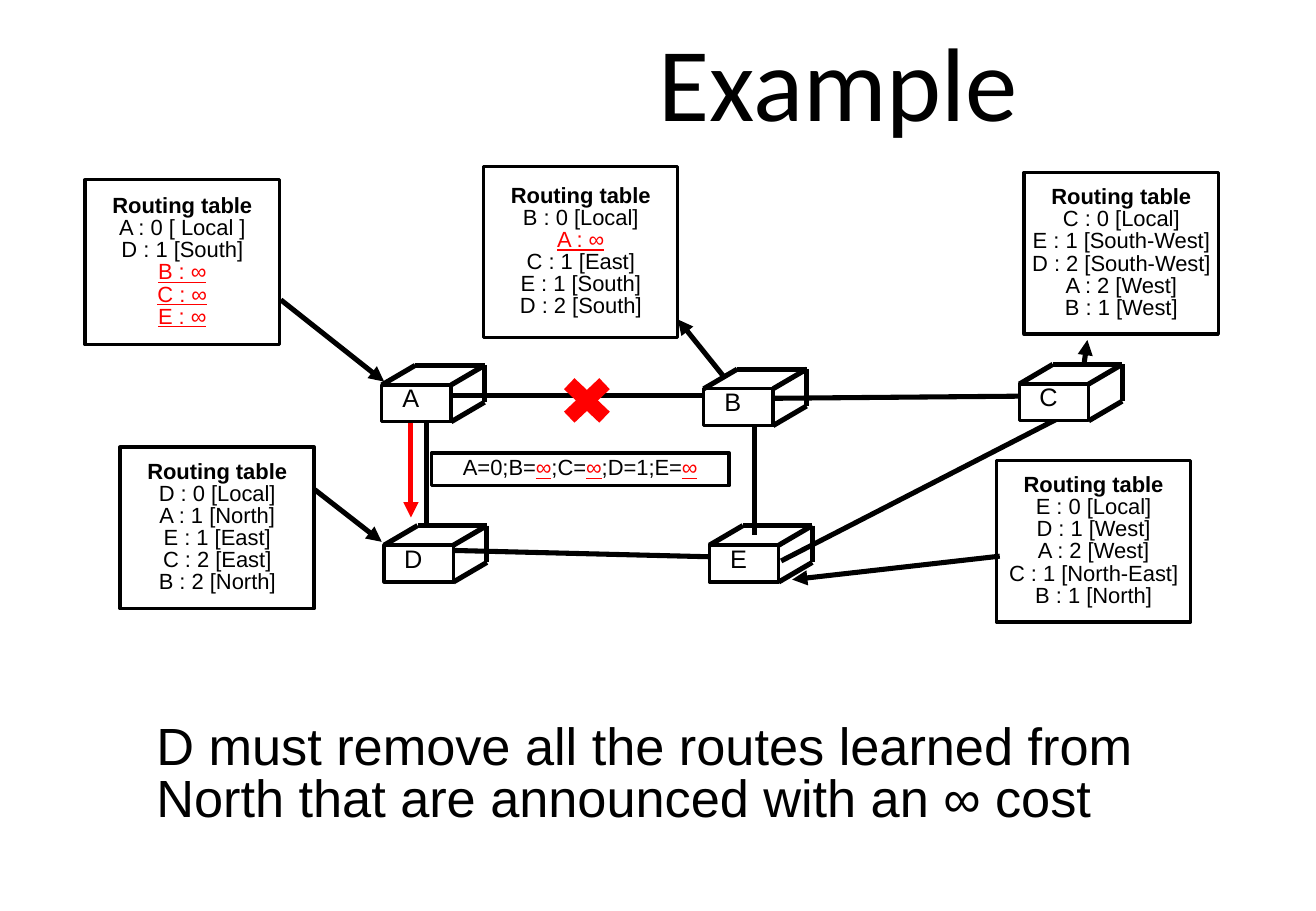
from lxml import etree
from pptx import Presentation
from pptx.dml.color import RGBColor
from pptx.enum.shapes import MSO_CONNECTOR, MSO_SHAPE
from pptx.enum.text import MSO_ANCHOR, PP_ALIGN
from pptx.oxml.ns import qn
from pptx.util import Cm, Pt

BLACK = RGBColor(0x00, 0x00, 0x00)
WHITE = RGBColor(0xFF, 0xFF, 0xFF)
RED = RGBColor(0xFF, 0x00, 0x00)
STRAIGHT = MSO_CONNECTOR.STRAIGHT
RECTANGLE = MSO_SHAPE.RECTANGLE
CROSS = MSO_SHAPE.MATH_MULTIPLY
MIDDLE = MSO_ANCHOR.MIDDLE
CENTER, LEFT = PP_ALIGN.CENTER, PP_ALIGN.LEFT

LINE_SPACING = 0.84
TABLE_WIDTH = 4.06
FRONT_WIDTH, FRONT_HEIGHT = 1.45, 0.77
DEPTH_X, DEPTH_Y = 0.7, 0.41

# Links between routers: x1, y1, x2, y2
LINKS = [
    (8.92, 8.79, 8.92, 11.0),
    (9.47, 11.51, 15.54, 11.66),
    (9.35, 8.28, 15.47, 8.28),
    (15.77, 8.74, 15.77, 11.18),
    (16.33, 11.73, 22.1, 8.76),
    (16.03, 8.33, 21.82, 8.28),
]

# Routers: name, left and top of the front face
ROUTERS = [
    ("A", 7.98, 8.05),
    ("B", 14.71, 8.13),
    ("C", 21.31, 8.03),
    ("D", 8.03, 11.4),
    ("E", 14.83, 11.4),
]

# Routing tables: left, top, height, routes
ROUTING_TABLES = [
    (1.78, 3.76, 3.45, ["A : 0 [ Local ]", "D : 1 [South]", "B : ∞", "C : ∞", "E : ∞"]),
    (10.11, 3.48, 3.58, ["B : 0 [Local]", "A : ∞", "C : 1 [East]",
                         "E : 1 [South]", "D : 2 [South]"]),
    (21.41, 3.61, 3.38, ["C : 0 [Local]", "E : 1 [South-West]", "D : 2 [South-West]",
                         "A : 2 [West]", "B : 1 [West]"]),
    (2.51, 9.35, 3.38, ["D : 0 [Local]", "A : 1 [North]", "E : 1 [East]",
                        "C : 2 [East]", "B : 2 [North]"]),
    (20.83, 9.63, 3.38, ["E : 0 [Local]", "D : 1 [West]", "A : 2 [West]",
                         "C : 1 [North-East]", "B : 1 [North]"]),
]

# Arrows between tables and routers, and the message from A to D
ARROWS = [
    (5.87, 6.27, 8.03, 7.98, BLACK),
    (15.11, 7.85, 14.17, 6.68, BLACK),
    (22.66, 7.62, 22.73, 7.11, BLACK),
    (6.58, 10.24, 7.98, 11.33, BLACK),
    (20.9, 11.63, 16.56, 12.12, BLACK),
    (8.59, 8.84, 8.59, 10.82, RED),
]

MESSAGE = ["A=0;B=", "∞", ";C=", "∞", ";D=1;E=", "∞"]


def add_line(slide, x1, y1, x2, y2, color=BLACK, arrow=False):
    connector = slide.shapes.add_connector(STRAIGHT, Cm(x1), Cm(y1), Cm(x2), Cm(y2))
    connector.line.color.rgb = color
    connector.line.width = Pt(3)
    properties = connector._element.spPr
    if arrow:
        outline = properties.find(qn("a:ln"))
        etree.SubElement(outline, qn("a:tailEnd"), type="triangle")
    etree.SubElement(properties, qn("a:effectLst"))


def add_box(slide, left, top, width, height, fill=None):
    box = slide.shapes.add_shape(RECTANGLE, Cm(left), Cm(top), Cm(width), Cm(height))
    box.shadow.inherit = False
    box.line.color.rgb = BLACK
    box.line.width = Pt(2)
    if fill is None:
        box.fill.background()
    else:
        box.fill.solid()
        box.fill.fore_color.rgb = fill
    return box


def set_frame(shape, inset=0.0, left_inset=0.0):
    frame = shape.text_frame
    frame.word_wrap = True
    frame.vertical_anchor = MIDDLE
    frame.margin_left = Cm(left_inset or inset)
    frame.margin_right = frame.margin_top = frame.margin_bottom = Cm(inset)
    return frame


def add_run(paragraph, text, size, font="Arial", bold=False):
    """Unreachable routes, marked by ∞, are red and underlined."""
    run = paragraph.add_run()
    run.text = text
    run.font.name = font
    run.font.size = Pt(size)
    run.font.bold = bold
    unreachable = text.endswith("∞")
    run.font.underline = unreachable
    run.font.color.rgb = RED if unreachable else BLACK


def format_paragraph(paragraph, alignment=CENTER, spacing=LINE_SPACING):
    paragraph.alignment = alignment
    paragraph.line_spacing = spacing
    return paragraph


def add_text(slide, left, top, width, height, inset=0.0, left_inset=0.0):
    text_box = slide.shapes.add_textbox(Cm(left), Cm(top), Cm(width), Cm(height))
    return set_frame(text_box, inset, left_inset).paragraphs[0]


def add_router(slide, name, left, top):
    add_box(slide, left, top, FRONT_WIDTH, FRONT_HEIGHT, WHITE)
    right, bottom = left + FRONT_WIDTH, top + FRONT_HEIGHT
    back_right, back_top = right + DEPTH_X, top - DEPTH_Y
    # Edges running back from the front face
    for x, y in [(left, top), (right, top), (right, bottom)]:
        add_line(slide, x, y, x + DEPTH_X, y - DEPTH_Y)
    # Back edges
    add_line(slide, left + DEPTH_X, back_top, back_right, back_top)
    add_line(slide, back_right, back_top, back_right, bottom - DEPTH_Y)
    label = add_text(slide, left + 0.35, top + 0.03, 0.52, 0.58)
    add_run(format_paragraph(label), name, 15)


def add_routing_table(slide, left, top, height, routes):
    frame = set_frame(add_box(slide, left, top, TABLE_WIDTH, height))
    add_run(format_paragraph(frame.paragraphs[0]), "Routing table", 13, bold=True)
    for route in routes:
        add_run(format_paragraph(frame.add_paragraph()), route, 13)


def add_message(slide):
    frame = set_frame(add_box(slide, 9.02, 9.47, 6.22, 0.69))
    paragraph = format_paragraph(frame.paragraphs[0])
    for part in MESSAGE:
        add_run(paragraph, part, 13)


def add_failure_cross(slide):
    cross = slide.shapes.add_shape(CROSS, Cm(11.56), Cm(7.7), Cm(1.42), Cm(1.35))
    cross.shadow.inherit = False
    cross.fill.solid()
    cross.fill.fore_color.rgb = RED
    cross.line.fill.background()


def main():
    presentation = Presentation()
    presentation.slide_width = Cm(27.51)
    presentation.slide_height = Cm(19.05)
    slide = presentation.slides.add_slide(presentation.slide_layouts[6])

    # Title and conclusion
    title = add_text(slide, 9.3, 0, 16.46, 3.35, inset=0.1)
    add_run(format_paragraph(title, spacing=1.0), "Example", 62, font="Calibri")
    conclusion = add_text(slide, 1.85, 13.39, 23.5, 5.66, inset=0.1, left_inset=1.42)
    format_paragraph(conclusion, LEFT).space_before = Pt(17.7)
    add_run(conclusion, "D must remove all the routes learned from North "
                        "that are announced with an ∞ cost", 31)

    # Network
    for link in LINKS:
        add_line(slide, *link)
    for router in ROUTERS:
        add_router(slide, *router)

    # Routing tables and messages
    for table in ROUTING_TABLES:
        add_routing_table(slide, *table)
    for arrow in ARROWS:
        add_line(slide, *arrow, arrow=True)
    add_message(slide)
    add_failure_cross(slide)

    presentation.save("out.pptx")


if __name__ == "__main__":
    main()
